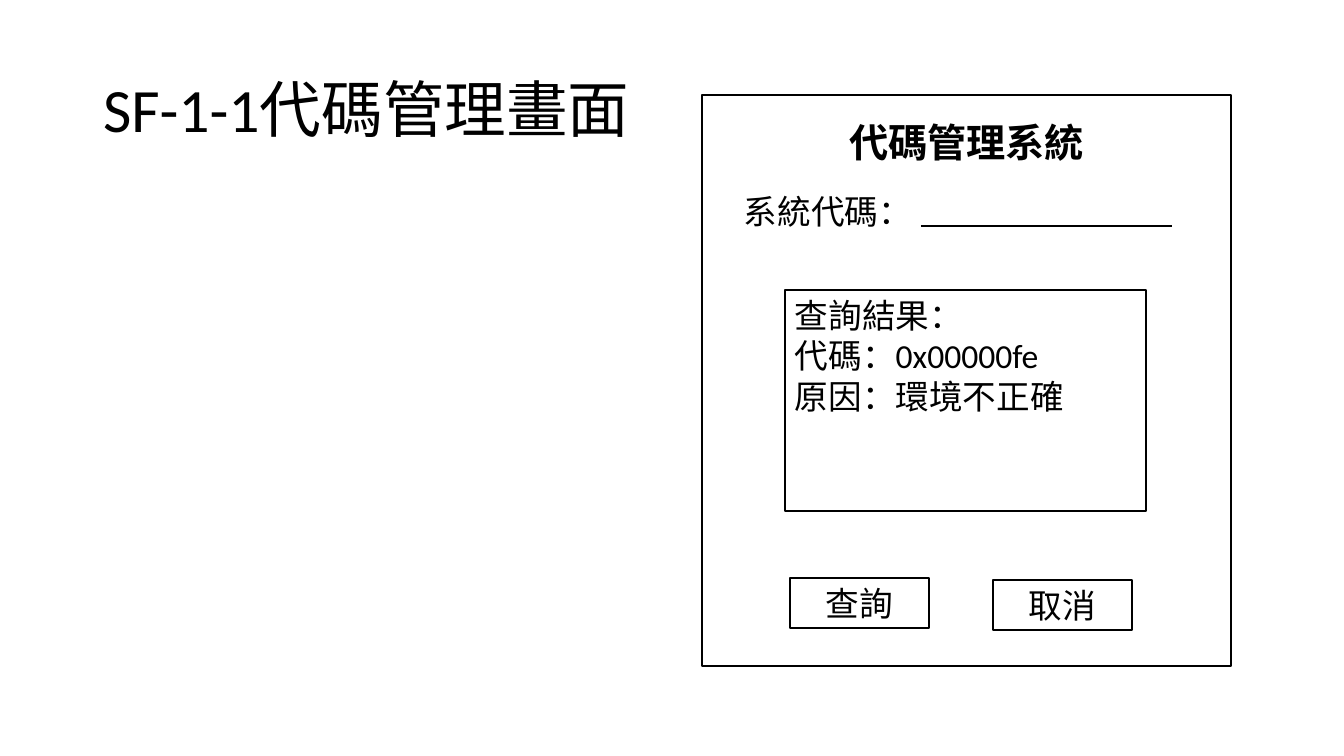
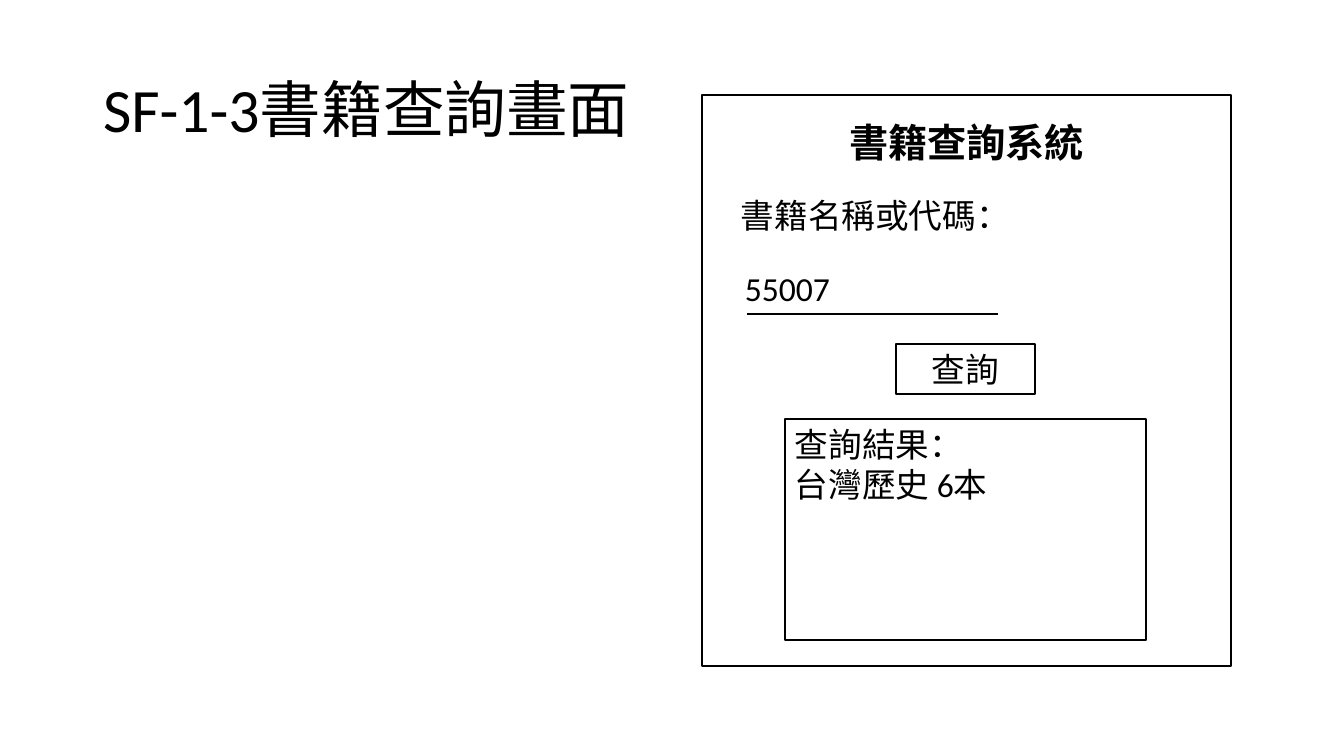
from dataclasses import dataclass
from lxml.etree import SubElement
from pptx import Presentation
from pptx.dml.color import RGBColor
from pptx.enum.shapes import MSO_CONNECTOR, MSO_SHAPE
from pptx.enum.text import MSO_ANCHOR, MSO_AUTO_SIZE, PP_ALIGN
from pptx.oxml.ns import qn
from pptx.util import Pt

SCALE = 12192000 / 1344


def px(*values):
    return [round(value * SCALE) for value in values]


@dataclass(frozen=True)
class Theme:
    ink: RGBColor = RGBColor(0, 0, 0)
    paper: RGBColor = RGBColor(255, 255, 255)
    latin: str = "Calibri"
    asian: str = "Noto Sans CJK SC"
    title: int = 44
    head: int = 28
    body: int = 24
    thin: float = 1
    rule: float = 1.5


class Screen:
    def __init__(self, deck, theme):
        self.theme = theme
        self.slide = deck.slides.add_slide(deck.slide_layouts[5])

    def text(self, shape, lines, size, font, bold=False,
             align=PP_ALIGN.LEFT, anchor=MSO_ANCHOR.TOP, space=1.0):
        frame = shape.text_frame
        frame.word_wrap = True
        frame.auto_size = MSO_AUTO_SIZE.NONE
        frame.vertical_anchor = anchor
        for index, line in enumerate(lines):
            para = frame.add_paragraph() if index else frame.paragraphs[0]
            para.alignment = align
            para.line_spacing = space
            run = para.add_run()
            run.text = line
            run.font.size = Pt(size)
            run.font.bold = bold
            run.font.name = font
            run.font.color.rgb = self.theme.ink
            asian = SubElement(run._r.get_or_add_rPr(), qn("a:ea"))
            asian.set("typeface", self.theme.asian)

    def title(self, text):
        shape = self.slide.shapes.title
        shape.left, shape.top, shape.width, shape.height = px(93, 40, 1158, 146)
        self.text(shape, [text], self.theme.title, self.theme.latin,
                  anchor=MSO_ANCHOR.MIDDLE, space=0.9)

    def box(self, x, y, width, height, filled=False):
        shape = self.slide.shapes.add_shape(
            MSO_SHAPE.RECTANGLE, *px(x, y, width, height))
        shape.shadow.inherit = False
        if filled:
            shape.fill.solid()
            shape.fill.fore_color.rgb = self.theme.paper
        else:
            shape.fill.background()
        shape.line.color.rgb = self.theme.ink
        shape.line.width = Pt(self.theme.thin)
        return shape

    def panel(self, text):
        self.box(702, 95, 529, 571)
        head = self.slide.shapes.add_textbox(*px(712, 111, 509, 62))
        self.text(head, [text], self.theme.head, self.theme.asian, bold=True,
                  align=PP_ALIGN.CENTER, anchor=MSO_ANCHOR.MIDDLE)

    def button(self, x, y, text):
        shape = self.box(x, y, 139, 50, filled=True)
        self.text(shape, [text], self.theme.body, self.theme.latin,
                  align=PP_ALIGN.CENTER, anchor=MSO_ANCHOR.MIDDLE)

    def label(self, x, y, width, text):
        shape = self.slide.shapes.add_textbox(*px(x, y, width, 56))
        self.text(shape, [text], self.theme.body, self.theme.latin)

    def field(self, x, y):
        line = self.slide.shapes.add_connector(
            MSO_CONNECTOR.STRAIGHT, *px(x, y, x + 251, y))
        line.line.color.rgb = self.theme.ink
        line.line.width = Pt(self.theme.rule)
        SubElement(line._element.spPr, qn("a:effectLst"))

    def result(self, y, *lines):
        shape = self.box(785, y, 361, 221)
        self.text(shape, lines, self.theme.body, self.theme.latin)


def codes(deck, theme):
    screen = Screen(deck, theme)
    screen.title("SF-1-1代碼管理畫面")
    screen.panel("代碼管理系統")
    screen.button(790, 578, "查詢")
    screen.button(993, 580, "取消")
    screen.label(734, 186, 212, "系統代碼：")
    screen.field(921, 226)
    screen.result(290, "查詢結果：", "代碼：0x00000fe", "原因：環境不正確")


def books(deck, theme):
    screen = Screen(deck, theme)
    screen.title("SF-1-3書籍查詢畫面")
    screen.panel("書籍查詢系統")
    screen.label(731, 190, 275, "書籍名稱或代碼：")
    screen.button(896, 344, "查詢")
    screen.field(747, 314)
    screen.result(419, "查詢結果：", "台灣歷史 6本")
    screen.label(735, 263, 275, "55007")


def main():
    deck = Presentation()
    deck.slide_width, deck.slide_height = px(1344, 756)
    theme = Theme()
    codes(deck, theme)
    books(deck, theme)
    deck.save("out.pptx")


main()
